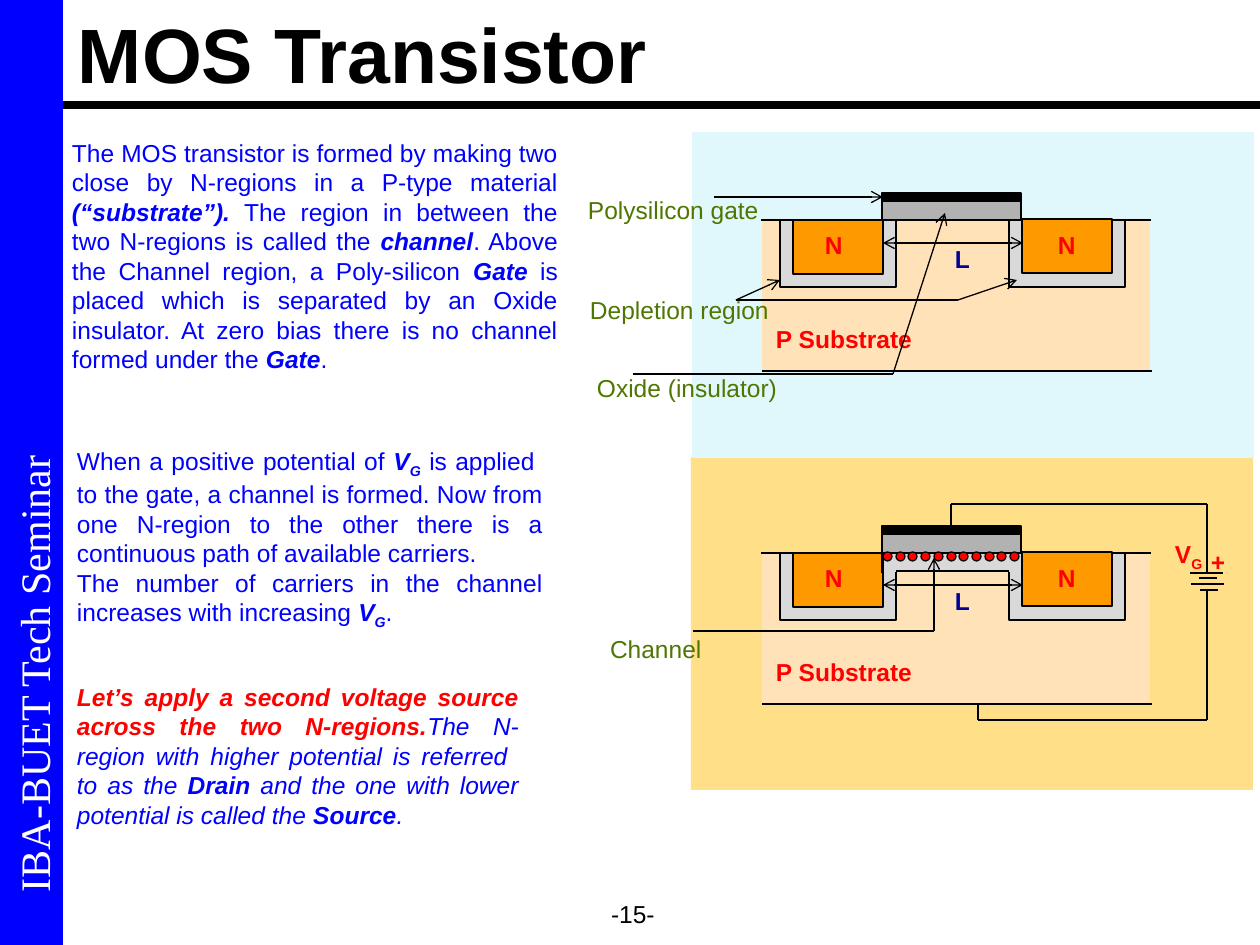
from lxml.etree import SubElement
from pptx import Presentation
from pptx.dml.color import RGBColor
from pptx.enum.shapes import MSO_CONNECTOR, MSO_SHAPE
from pptx.enum.text import MSO_ANCHOR, MSO_AUTO_SIZE, PP_ALIGN
from pptx.oxml.ns import qn
from pptx.util import Emu, Pt

PIXEL = 914400 // 126
BLACK = RGBColor(0x00, 0x00, 0x00)
WHITE = RGBColor(0xFF, 0xFF, 0xFF)
BLUE = RGBColor(0x00, 0x00, 0xFF)
NAVY = RGBColor(0x00, 0x00, 0x99)
RED = RGBColor(0xFF, 0x00, 0x00)
GREEN = RGBColor(0x4F, 0x76, 0x00)
GOLD = RGBColor(0xFF, 0xE0, 0x89)
PALE_BLUE = RGBColor(0xE0, 0xF7, 0xFC)
PEACH = RGBColor(0xFF, 0xE2, 0xB7)
LIGHT_GRAY = RGBColor(0xD9, 0xD9, 0xD9)
GRAY = RGBColor(0xB2, 0xB2, 0xB2)
ORANGE = RGBColor(0xFF, 0x99, 0x00)

STRONG = {"bold": True, "italic": True}
SUBSCRIPT = {"bold": True, "italic": True, "baseline": -25}


def px(*values):
    """Turn picture pixels into EMU lengths."""
    return [Emu(value * PIXEL) for value in values]


def write(frame, paragraphs, font="Arial", size=14, color=BLACK, bold=False, italic=False,
          align=PP_ALIGN.JUSTIFY, anchor=MSO_ANCHOR.TOP, insets=(13, 6, 13, 6)):
    """Fill a text frame; each paragraph is a string or a list of (text, overrides) runs."""
    frame.word_wrap = True
    frame.vertical_anchor = anchor
    (frame.margin_left, frame.margin_top,
     frame.margin_right, frame.margin_bottom) = px(*insets)
    for index, runs in enumerate(paragraphs):
        paragraph = frame.add_paragraph() if index else frame.paragraphs[0]
        paragraph.alignment = align
        for text, override in [(runs, {})] if isinstance(runs, str) else runs:
            run = paragraph.add_run()
            run.text = text
            run.font.name = font
            run.font.size = Pt(size)
            run.font.bold = override.get("bold", bold)
            run.font.italic = override.get("italic", italic)
            run.font.color.rgb = override.get("color", color)
            if "baseline" in override:
                run.font._element.set("baseline", str(override["baseline"] * 1000))


class Canvas:
    """Holds the current slide and the shared line style."""

    line_width = 0.74

    def __init__(self, slide):
        """Start drawing on a slide."""
        self.slide = slide

    def title(self, text, box, **style):
        """Place and format the title placeholder."""
        shape = self.slide.shapes.title
        shape.left, shape.top, shape.width, shape.height = px(*box)
        shape.text_frame.auto_size = MSO_AUTO_SIZE.NONE
        write(shape.text_frame, [text], **style)

    def shape(self, box, fill, outlined=False, kind=MSO_SHAPE.RECTANGLE):
        """Add a filled preset shape."""
        shape = self.slide.shapes.add_shape(kind, *px(*box))
        shape.shadow.inherit = False
        shape.fill.solid()
        shape.fill.fore_color.rgb = fill
        if outlined:
            shape.line.color.rgb = BLACK
            shape.line.width = Pt(self.line_width)
        else:
            shape.line.fill.background()
        return shape

    def text(self, paragraphs, box, **style):
        """Add a text box that grows with its text."""
        frame = self.slide.shapes.add_textbox(*px(*box)).text_frame
        write(frame, paragraphs, **style)
        frame.auto_size = MSO_AUTO_SIZE.SHAPE_TO_FIT_TEXT

    def line(self, x1, y1, x2, y2, width=line_width, ends=()):
        """Add a straight line with open arrowheads at the named ends."""
        connector = self.slide.shapes.add_connector(MSO_CONNECTOR.STRAIGHT, *px(x1, y1, x2, y2))
        connector.line.color.rgb = BLACK
        connector.line.width = Pt(width)
        properties = connector._element.spPr
        outline = properties.find(qn("a:ln"))
        for end in ends:
            SubElement(outline, qn(f"a:{end}"), type="arrow")
        SubElement(properties, qn("a:effectLst"))

    def route(self, *points, ends=()):
        """Join points by lines, with arrowheads on the last one."""
        pairs = list(zip(points, points[1:]))
        for index, (start, stop) in enumerate(pairs):
            self.line(*start, *stop, ends=ends if index == len(pairs) - 1 else ())


def draw_transistor(canvas, surface, length_drop, channel=False):
    """Draw a transistor cross-section whose substrate surface is at the given height."""
    canvas.shape((762, surface - 1, 388, 151), PEACH)
    for left in (780, 1009):
        canvas.shape((left, surface, 116, 67), LIGHT_GRAY, outlined=True)
    if channel:
        canvas.shape((882, surface, 139, 19), LIGHT_GRAY)
        canvas.line(896, surface + 18, 1009, surface + 18)
    canvas.line(761, surface, 1151, surface)
    canvas.line(762, surface + 151, 1152, surface + 151)
    for left, top, label_left in ((793, surface, 812), (1022, surface - 1, 1045)):
        canvas.shape((left, top, 90, 54), ORANGE, outlined=True)
        canvas.text(["N"], (label_left, surface + 4, 49, 43), color=RED, bold=True)
    canvas.shape((882, surface - 19, 139, 19), GRAY, outlined=True)
    canvas.shape((882, surface - 27, 139, 8), BLACK, outlined=True)
    canvas.text(["P Substrate"], (763, surface + 98, 194, 43), color=RED, bold=True)
    if channel:
        for index in range(11):
            canvas.shape((883 + round(12.7 * index), surface - 1, 9, 9), RED,
                         outlined=True, kind=MSO_SHAPE.OVAL)
        canvas.line(882, surface + 20, 882, surface)
    length_y = surface + length_drop
    canvas.line(883, length_y, 1023, length_y, ends=("headEnd", "tailEnd"))
    canvas.text(["L"], (942, length_y - 5, 49, 43), color=NAVY, bold=True)


def draw_frame(canvas):
    """Draw the title, its rule, the side band and the page number."""
    canvas.title("MOS Transistor", (65, 0, 1195, 105), size=44, bold=True,
                 align=PP_ALIGN.LEFT, anchor=MSO_ANCHOR.BOTTOM)
    canvas.line(63, 105, 1260, 105, width=4.5)
    canvas.shape((0, 0, 63, 945), BLUE)
    band = canvas.shape((-428, 429, 913, 57), BLUE)
    band.rotation = 270
    write(band.text_frame, ["IBA-BUET Tech Seminar"], font="Times New Roman", size=24,
          color=WHITE, align=PP_ALIGN.LEFT, insets=(22, 8, 13, 0))
    canvas.text(["-15-"], (598, 893, 84, 43), align=PP_ALIGN.LEFT)


def draw_battery(canvas):
    """Draw the gate voltage source and its wiring."""
    canvas.route((951, 527), (951, 504), (1207, 504), (1207, 573))
    for left, right, y in ((1190, 1223, 573), (1199, 1217, 578),
                           (1191, 1224, 584), (1200, 1218, 590)):
        canvas.line(left, y, right, y)
    canvas.route((1207, 590), (1207, 720), (978, 720), (978, 704))
    canvas.text(["+"], (1198, 541, 49, 43), color=RED, bold=True)
    canvas.text([[("V", {}), ("G", {"baseline": -25})]], (1162, 533, 63, 47),
                color=RED, bold=True)


def draw_callouts(canvas):
    """Name the parts and point at them."""
    for label, left, top in (("Polysilicon gate", 575, 189), ("Depletion region", 577, 289),
                             ("Oxide (insulator)", 584, 367), ("Channel", 597, 628)):
        canvas.text([label], (left, top, 258, 43), color=GREEN)
    for points in (((714, 197), (883, 197)),
                   ((736, 300), (780, 280)),
                   ((736, 300), (958, 300), (1017, 280)),
                   ((633, 374), (893, 374), (945, 213)),
                   ((693, 631), (934, 631), (934, 558))):
        canvas.route(*points, ends=("tailEnd",))


def write_explanation(canvas):
    """Write the three explanatory texts on the left."""
    canvas.text([[
        ("The MOS transistor is formed by making two close by N-regions in a P-type material ", {}),
        ("(“substrate”).", STRONG),
        (" The region in between the two N-regions is called the ", {}), ("channel", STRONG),
        (". Above the Channel region, a Poly-silicon ", {}), ("Gate", STRONG),
        (" is placed which is separated by an Oxide insulator. At zero bias there is no "
         "channel formed under the ", {}), ("Gate", STRONG), (".", {}),
    ]], (59, 132, 512, 248), color=BLUE)
    canvas.text([
        [("When a positive potential of ", {}), ("V", STRONG), ("G", SUBSCRIPT),
         (" is applied  to the gate, a channel is formed. Now from one N-region to the other "
          "there is a continuous path of available carriers.", {})],
        [("The number of carriers in the channel increases with increasing ", {}),
         ("V", STRONG), ("G", SUBSCRIPT), (".", {})],
    ], (64, 440, 492, 198), color=BLUE)
    canvas.text([[
        ("Let’s apply a second voltage source across the two N-regions.",
         {"bold": True, "color": RED}),
        ("The N-region with higher potential is referred  to as the ", {}), ("Drain", STRONG),
        (" and the one with lower potential is called the ", {}), ("Source", STRONG), (".", {}),
    ]], (64, 676, 468, 160), color=BLUE, italic=True)


def main():
    """Build the slide and save it."""
    presentation = Presentation()
    presentation.slide_width, presentation.slide_height = px(1260, 945)
    canvas = Canvas(presentation.slides.add_slide(presentation.slide_layouts[5]))
    draw_frame(canvas)
    canvas.shape((691, 457, 562, 333), GOLD)
    canvas.shape((692, 132, 562, 326), PALE_BLUE)
    draw_transistor(canvas, 220, length_drop=23)
    draw_transistor(canvas, 553, length_drop=32, channel=True)
    draw_battery(canvas)
    draw_callouts(canvas)
    write_explanation(canvas)
    presentation.save("out.pptx")


main()
